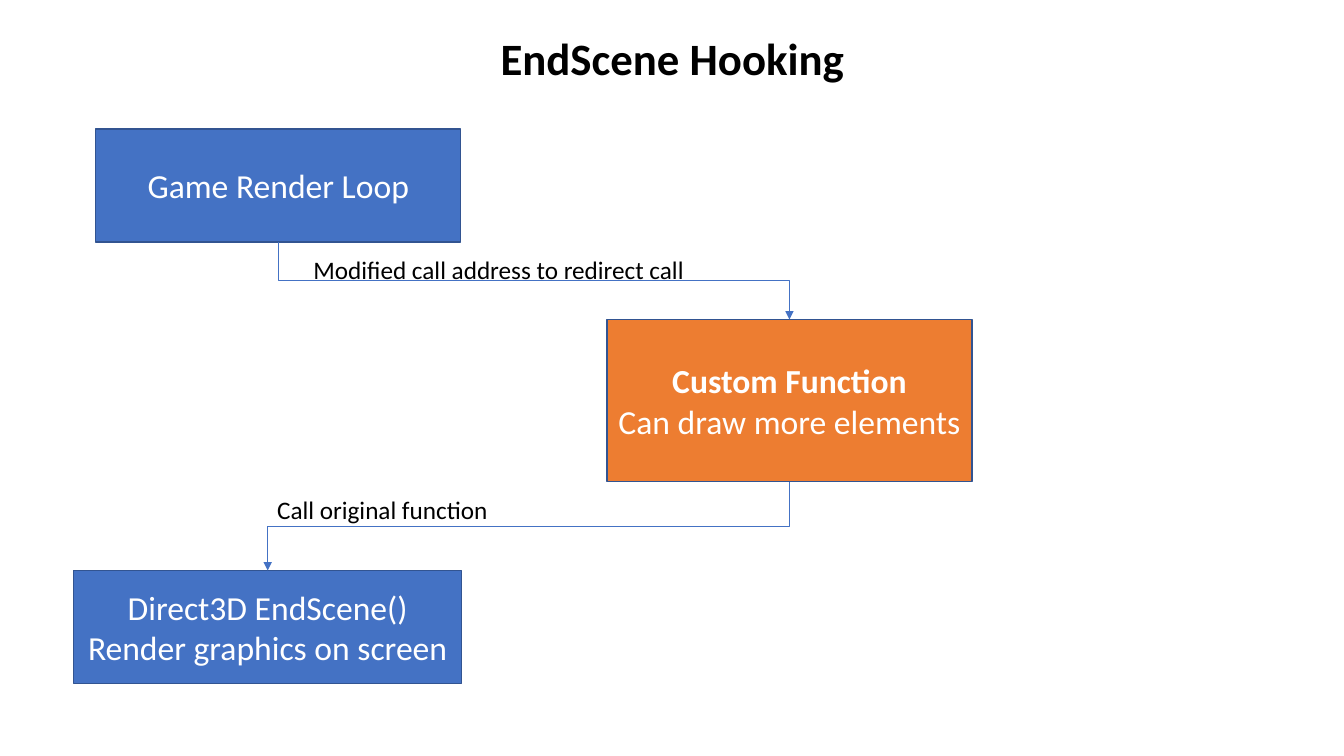
from pptx import Presentation
from pptx import util as u
from pptx.dml.color import RGBColor
from pptx.enum import shapes, text
from pptx.oxml.ns import qn
from lxml import etree

Inches = u.Inches


def color(code):
    return RGBColor.from_string(code)


class Deck:
    font = "Calibri"
    blue, orange = "4472C4", "ED7D31"
    edge, black, white = "325491", "000000", "FFFFFF"

    def __init__(self, slide):
        self.slide = slide

    def fill_text(self, frame, lines, size, ink, align, anchor):
        frame.vertical_anchor = anchor
        for i, (words, bold) in enumerate(lines):
            para = frame.add_paragraph() if i else frame.paragraphs[0]
            para.alignment = align
            run = para.add_run()
            run.text = words
            run.font.name, run.font.size = self.font, u.Pt(size)
            run.font.bold, run.font.color.rgb = bold, color(ink)

    def plain(self, shape, lines, size, align):
        frame = shape.text_frame
        frame.word_wrap = False
        frame.auto_size = text.MSO_AUTO_SIZE.NONE
        self.fill_text(frame, lines, size, self.black, align, text.MSO_ANCHOR.TOP)

    def title(self, words, x, y, w, h):
        shape = self.slide.shapes.title
        shape.left, shape.top, shape.width, shape.height = map(Inches, (x, y, w, h))
        self.plain(shape, [(words, True)], 32, text.PP_ALIGN.CENTER)

    def label(self, words, x, y, w, h=0.4):
        shape = self.slide.shapes.add_textbox(*map(Inches, (x, y, w, h)))
        self.plain(shape, [(words, False)], 18, text.PP_ALIGN.LEFT)

    def box(self, lines, x, y, w, h, fill):
        shape = self.slide.shapes.add_shape(
            shapes.MSO_SHAPE.RECTANGLE, *map(Inches, (x, y, w, h)))
        shape.shadow.inherit = False
        shape.fill.solid()
        shape.fill.fore_color.rgb = color(fill)
        shape.line.color.rgb = color(self.edge)
        shape.line.width = u.Pt(1)
        shape.text_frame.word_wrap = True
        self.fill_text(shape.text_frame, lines, 24, self.white,
                       text.PP_ALIGN.CENTER, text.MSO_ANCHOR.MIDDLE)
        return shape

    def arrow(self, start, end):
        x1, y1 = start.left + start.width // 2, start.top + start.height
        x2, y2 = end.left + end.width // 2, end.top
        link = self.slide.shapes.add_connector(
            shapes.MSO_CONNECTOR.ELBOW, x1, y1, x2, y2)
        link.begin_connect(start, 2)
        link.end_connect(end, 0)
        wide, high = abs(x2 - x1), y2 - y1
        link.left, link.top = (x1 + x2 - high) // 2, (y1 + y2 - wide) // 2
        link.width, link.height = high, wide
        right = x2 > x1
        props = link._element.spPr
        frame = props.find(qn("a:xfrm"))
        frame.set("rot", str((270 if right else 90) * 60000))
        frame.set("flipH", "1" if right else "0")
        link.line.color.rgb = color(self.blue)
        link.line.width = u.Pt(0.5)
        line = props.find(qn("a:ln"))
        etree.SubElement(line, qn("a:tailEnd"), type="triangle")
        etree.SubElement(props, qn("a:effectLst"))


show = Presentation()
show.slide_width, show.slide_height = Inches(13.33), Inches(7.5)
deck = Deck(show.slides.add_slide(show.slide_layouts[5]))

deck.title("EndScene Hooking", 4.85, 0.25, 3.64, 0.64)
loop = deck.box([("Game Render Loop", False)], 0.95, 1.28, 3.62, 1.12, deck.blue)
scene = deck.box([("Direct3D EndScene()", False), ("Render graphics on screen", False)],
                 0.73, 5.66, 3.85, 1.12, deck.blue)
custom = deck.box([("Custom Function", True), ("Can draw more elements", False)],
                  6.02, 3.17, 3.62, 1.61, deck.orange)
deck.arrow(loop, custom)
deck.arrow(custom, scene)
deck.label("Modified call address to redirect call", 3.01, 2.47, 3.92)
deck.label("Call original function", 2.65, 4.85, 2.32)

show.save("out.pptx")
